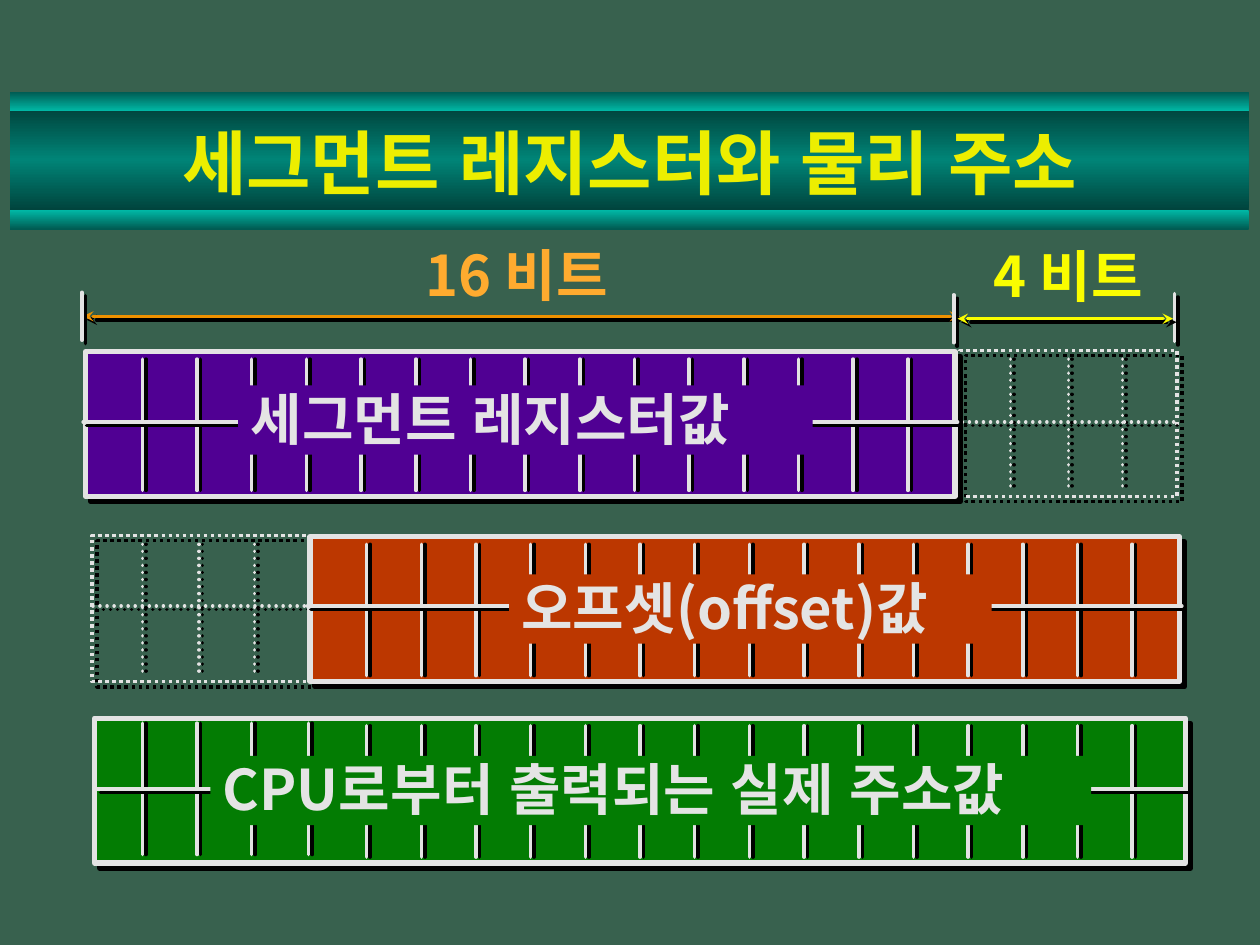
import pptx
import pptx.util
import pptx.dml.color
import pptx.enum.dml
import pptx.enum.shapes
import pptx.enum.text
import pptx.oxml
import pptx.oxml.ns

RGB = pptx.dml.color.RGBColor
GREY_GREEN = RGB(0x38, 0x61, 0x4E)
TEAL_DEEP = RGB(0x00, 0x42, 0x3B)
TEAL = RGB(0x00, 0x84, 0x77)
TEAL_DARK = RGB(0x00, 0x5B, 0x52)
TEAL_LIGHT = RGB(0x00, 0xB7, 0xA5)
TITLE_YELLOW = RGB(0xEC, 0xEE, 0x00)
YELLOW = RGB(0xFA, 0xFD, 0x00)
ORANGE = RGB(0xEF, 0x91, 0x00)
LIGHT_ORANGE = RGB(0xFF, 0xAB, 0x2F)
SILVER = RGB(0xE3, 0xE3, 0xE3)
LABEL_GREY = RGB(0xE4, 0xE4, 0xE4)
PURPLE = RGB(0x50, 0x00, 0x93)
RUST = RGB(0xBC, 0x37, 0x00)
GREEN = RGB(0x03, 0x7C, 0x03)

BIT = 4.34  # width of one bit, in percent of the slide width


def element(tag, xml=""):
    ns = pptx.oxml.ns.nsdecls("a")
    head, _, attrs = tag.partition(" ")
    return pptx.oxml.parse_xml(f"<a:{head} {ns} {attrs}>{xml}</a:{head}>")


def shadow_effect(distance, angle):
    """An effect list with a hard black shadow."""
    return element("effectLst", f'<a:outerShdw dist="{pptx.util.Pt(distance)}" dir="{angle * 60000}" '
                   'algn="ctr" rotWithShape="0"><a:srgbClr val="000000"/></a:outerShdw>')


class Canvas:
    """Draws on one slide; every position is a percentage of the slide size."""
    font = "Noto Sans CJK KR"

    def __init__(self, prs):
        self.width, self.height = prs.slide_width, prs.slide_height
        self.s = prs.slides.add_slide(prs.slide_layouts[6])
        self.s.background.fill.solid()
        self.s.background.fill.fore_color.rgb = GREY_GREEN

    def x(self, share):
        return round(self.width * share / 100)

    def y(self, share):
        return round(self.height * share / 100)

    def box(self, x, y, w, h):
        return self.x(x), self.y(y), self.x(w), self.y(h)

    def stroke(self, line, color, width, dotted):
        line.color.rgb = color
        line.width = pptx.util.Pt(width)
        if dotted:
            line.dash_style = pptx.enum.dml.MSO_LINE.ROUND_DOT

    def rect(self, x, y, w, h, fill=None, border=0, dotted=False):
        sp = self.s.shapes.add_shape(pptx.enum.shapes.MSO_SHAPE.RECTANGLE, *self.box(x, y, w, h))
        sp.shadow.inherit = False
        if fill is None:
            sp.fill.background()
        else:
            sp.fill.solid()
            sp.fill.fore_color.rgb = fill
        if border:
            self.stroke(sp.line, SILVER, border, dotted)
            props = sp.element.spPr
            props.replace(props.find(pptx.oxml.ns.qn("a:effectLst")), shadow_effect(4.2, 45))
        else:
            sp.line.fill.background()
        return sp

    def gradient(self, x, y, w, h, colors):
        sp = self.rect(x, y, w, h)
        sp.fill.gradient()
        sp.fill.gradient_angle = 270
        stops = sp.element.spPr.find(".//" + pptx.oxml.ns.qn("a:gsLst"))
        for stop in list(stops):
            stops.remove(stop)
        for i, color in enumerate(colors):
            pos = 100000 * i // (len(colors) - 1)
            stops.append(element(f'gs pos="{pos}"', f'<a:srgbClr val="{color}"/>'))

    def line(self, x1, y1, x2, y2, color=SILVER, dotted=False, arrows=False, shadow=(2.8, 45)):
        c = self.s.shapes.add_connector(pptx.enum.shapes.MSO_CONNECTOR.STRAIGHT,
                                        self.x(x1), self.y(y1), self.x(x2), self.y(y2))
        self.stroke(c.line, color, 2, dotted)
        ln = c.element.spPr.find(pptx.oxml.ns.qn("a:ln"))
        ln.set("cap", "rnd")
        if arrows:
            for end in ("headEnd", "tailEnd"):
                ln.append(element(f'{end} type="stealth"'))
        c.element.spPr.append(shadow_effect(*shadow))

    def ticks(self, start, count, y, dotted=False):
        for i in range(count):
            x = start + i * BIT
            self.line(x, y, x, y + 13.9, dotted=dotted, shadow=(2, 0))

    def set_text(self, sp, text, size, color, shadow=0):
        tf = sp.text_frame
        tf.word_wrap = True
        tf.text = text
        p = tf.paragraphs[0]
        r = p.runs[0]
        r.font.size = pptx.util.Pt(size)
        r.font.bold = True
        r.font.color.rgb = color
        props = r._r.get_or_add_rPr()
        props.set("lang", "ko-KR")
        if shadow:
            props.append(shadow_effect(shadow, 45))
        r.font.name = self.font
        props.append(element(f'ea typeface="{self.font}"'))
        return p

    def title(self, text, x, y, w, h):
        sp = self.s.shapes.add_textbox(*self.box(x, y, w, h))
        p = self.set_text(sp, text, 40, TITLE_YELLOW, shadow=3)
        p.alignment = pptx.enum.text.PP_ALIGN.CENTER
        sp.text_frame.vertical_anchor = pptx.enum.text.MSO_ANCHOR.MIDDLE

    def label(self, text, x, y, w, color=LABEL_GREY, fill=None):
        if fill is None:
            sp = self.s.shapes.add_textbox(*self.box(x, y, w, 7.33))
        else:
            sp = self.rect(x, y, w, 7.33, fill)
        p = self.set_text(sp, text, 32, color, shadow=2 if fill is None else 0)
        p.alignment = pptx.enum.text.PP_ALIGN.LEFT
        p.line_spacing = 0.9
        sp.text_frame.vertical_anchor = pptx.enum.text.MSO_ANCHOR.TOP

    def padding(self, x, y, tick_xs, mid_x, mid_y):
        """Four dotted bits beside a register."""
        self.rect(x, y - 0.13, 17.2, 15.47, border=2, dotted=True)
        for tick_x in tick_xs:
            self.ticks(tick_x, 1, y + 0.8, dotted=True)
        self.line(mid_x + 17.15, mid_y, mid_x, mid_y, dotted=True)

    def register(self, x, y, w, color, tick_runs, mid, label):
        """A solid bar with bit ticks, a middle line and a label."""
        self.rect(x, y, w, 15.33, color, border=3)
        for start, count, drop in tick_runs:
            self.ticks(start, count, y + drop)
        left, right, mid_y = mid
        self.line(right, mid_y, left, mid_y)
        self.label(*label, fill=color)


def main():
    prs = pptx.Presentation()
    prs.slide_width = pptx.util.Inches(10)
    prs.slide_height = pptx.util.Inches(7.5)
    c = Canvas(prs)

    # Title band
    c.gradient(0.8, 11.33, 98.3, 11.07, (TEAL_DEEP, TEAL, TEAL_DEEP))
    c.gradient(0.8, 22.27, 98.3, 2, (TEAL_LIGHT, TEAL_DARK))
    c.gradient(0.8, 9.73, 98.3, 2, (TEAL_DARK, TEAL_LIGHT))
    c.title("세그먼트 레지스터와 물리 주소", 7.5, 11.73, 85, 10.8)

    # Width markers
    c.line(6.6, 33.47, 76.2, 33.47, ORANGE, arrows=True)
    c.label("16 비트", 32.8, 25.6, 18.3, LIGHT_ORANGE)
    c.label("4 비트", 77.9, 25.73, 15.3, YELLOW)
    for x, y in ((6.5, 30.93), (75.7, 31.2), (93.2, 31.07)):
        c.line(x, y, x, y + 5.07)
    c.line(76, 33.73, 93.1, 33.73, YELLOW, arrows=True)

    # Segment register, padded on the right
    c.padding(76.2, 37.2, (80.2, 84.8, 89.1), 76, 44.67)
    c.register(6.8, 37.2, 69, PURPLE, [(11.3, 15, 0.8)], (6.6, 76, 44.67),
               ("세그먼트 레지스터값", 18.9, 40.8, 45.6))

    # Offset, padded on the left
    c.padding(7.3, 56.8, (11.3, 15.8, 20.2), 7, 64.13)
    c.register(24.6, 56.8, 69, RUST, [(29.1, 15, 0.8)], (24.4, 93.8, 64.13),
               ("오프셋(offset)값", 40.4, 60.8, 38.3))

    # Physical address, all 20 bits
    c.register(7.5, 76, 86.6, GREEN, [(29.1, 15, 0.8), (11.3, 3, 0.53), (24.5, 1, 0.53)],
               (7.7, 94, 83.47), ("CPU로부터 출력되는 실제 주소값", 16.7, 80, 69.9))

    prs.save("out.pptx")


if __name__ == "__main__":
    main()
